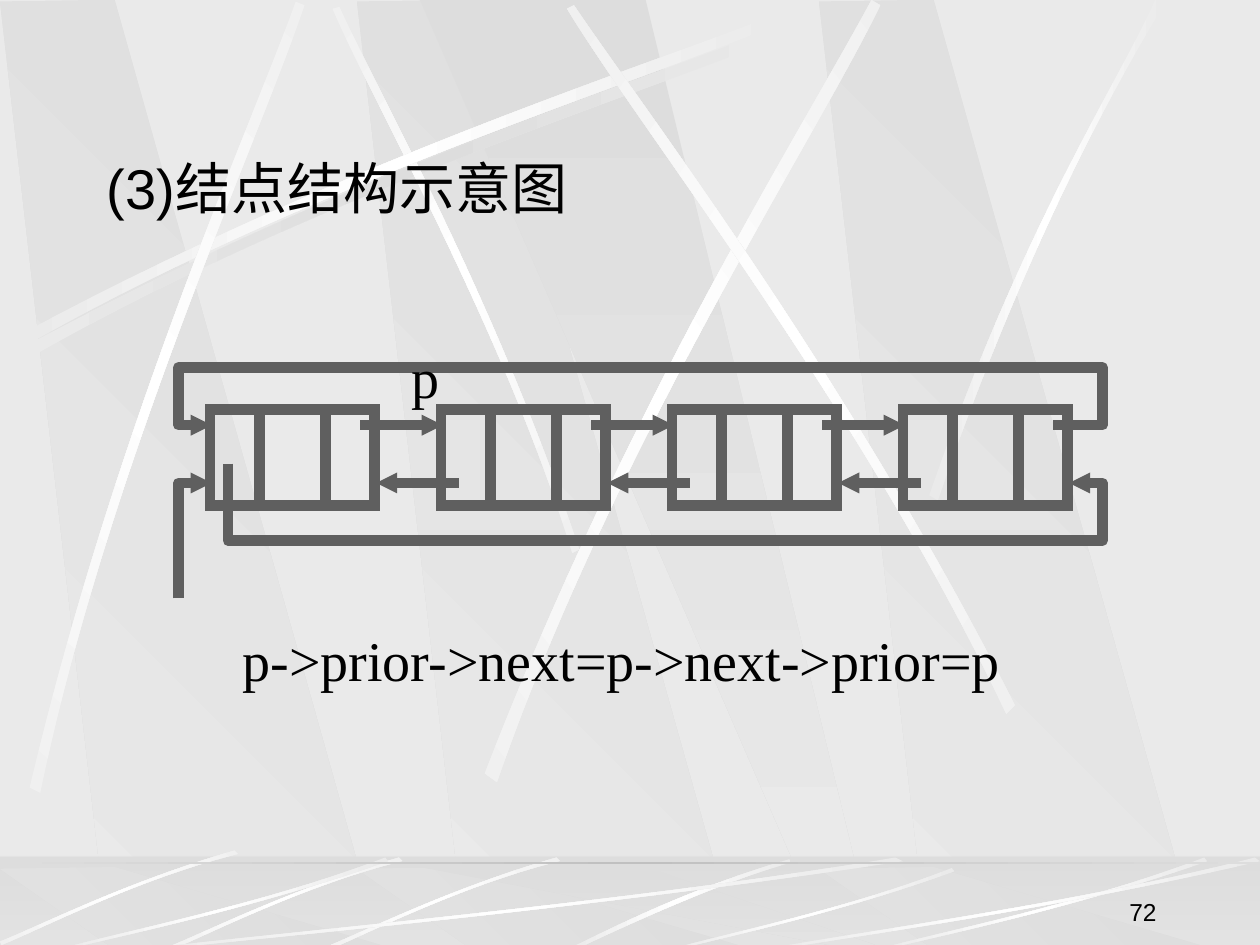
import math

import pptx
import pptx.dml.color
import pptx.enum.shapes
import pptx.enum.text
import pptx.oxml.ns
import pptx.util
from lxml import etree

Pt = pptx.util.Pt
RGBColor = pptx.dml.color.RGBColor
qn = pptx.oxml.ns.qn
RECTANGLE = pptx.enum.shapes.MSO_SHAPE.RECTANGLE
STRAIGHT = pptx.enum.shapes.MSO_CONNECTOR.STRAIGHT

PALE = RGBColor(0xEA, 0xEA, 0xEA)
SHADE = RGBColor(0xDD, 0xDD, 0xDD)
SILVER = RGBColor(0xC0, 0xC0, 0xC0)
WHITE = RGBColor(0xFF, 0xFF, 0xFF)
INK = RGBColor(0x5F, 0x5F, 0x5F)
BLACK = RGBColor(0, 0, 0)


def rotate(point, center, degrees):
    x, y = point[0] - center[0], point[1] - center[1]
    cosine, sine = math.cos(math.radians(degrees)), math.sin(math.radians(degrees))
    return center[0] + x * cosine - y * sine, center[1] + x * sine + y * cosine


class Deck:
    line_width = 6
    text_size = 32

    def __init__(self, width, height):
        self.presentation = pptx.Presentation()
        self.presentation.slide_width = Pt(width)
        self.presentation.slide_height = Pt(height)
        self.slide = self.presentation.slides.add_slide(self.presentation.slide_layouts[6])
        background = self.slide.background.fill
        background.solid()
        background.fore_color.rgb = PALE

    def outline(self, shape, join, arrow=False):
        shape.line.color.rgb = INK
        shape.line.width = Pt(self.line_width)
        line = shape.line._get_or_add_ln()
        corner = etree.SubElement(line, qn("a:" + join))
        if join == "miter":
            corner.set("lim", "800000")
        if arrow:
            etree.SubElement(line, qn("a:tailEnd"), type="triangle", w="sm", len="sm")

    def gradient(self, shape, colors, angle):
        shape.fill.gradient()
        shape.fill.gradient_angle = -angle % 360
        stops = shape._element.spPr.find(qn("a:gradFill")).find(qn("a:gsLst"))
        for stop in list(stops):
            stops.remove(stop)
        for index, color in enumerate(colors):
            position = str(100000 * index // (len(colors) - 1))
            stop = etree.SubElement(stops, qn("a:gs"), pos=position)
            etree.SubElement(stop, qn("a:srgbClr"), val=str(color))
        shape.line.fill.background()

    def rectangle(self, left, top, width, height):
        shape = self.slide.shapes.add_shape(RECTANGLE, Pt(left), Pt(top), Pt(width), Pt(height))
        shape.shadow.inherit = False
        return shape

    def freeform(self, points, close):
        points = [(Pt(x), Pt(y)) for x, y in points]
        builder = self.slide.shapes.build_freeform(*points[0], scale=1.0)
        builder.add_line_segments(points[1:], close=close)
        shape = builder.convert_to_shape()
        shape.shadow.inherit = False
        return shape

    def facet(self, points, angle):
        self.gradient(self.freeform(points, True), (SHADE, PALE), angle)

    def streak(self, controls, rotation=0, left=0, top=0, wide=1, tall=1, middle=WHITE):
        controls = [(left + x * wide, top + y * tall) for x, y in controls]
        center = tuple((min(axis) + max(axis)) / 2 for axis in zip(*controls))
        shape = self.freeform([rotate(point, center, -rotation) for point in controls], True)
        half = shape.width / 2, shape.height / 2
        middle_point = shape.left + half[0], shape.top + half[1]
        x, y = rotate(middle_point, [Pt(value) for value in center], rotation)
        shape.left, shape.top = round(x - half[0]), round(y - half[1])
        shape.rotation = rotation
        segments = list(shape._element.spPr.iter(qn("a:lnTo")))
        for group in (segments[:3], segments[4:7]):
            curve = etree.Element(qn("a:cubicBezTo"))
            group[0].addprevious(curve)
            for segment in group:
                curve.append(segment[0])
                segment.getparent().remove(segment)
        self.gradient(shape, (PALE, middle, PALE), 180)

    def band(self, top, height, colors, angle):
        self.gradient(self.rectangle(0, top, 720, height), colors, angle)

    def veil(self, top, height):
        shape = self.rectangle(0, top, 720, height)
        shape.fill.solid()
        shape.fill.fore_color.rgb = SHADE
        color = shape._element.spPr.find(qn("a:solidFill"))[0]
        etree.SubElement(color, qn("a:alpha"), val="50000")
        shape.line.fill.background()

    def panels(self, top, bottom):
        for left in (204, 0, 468):
            self.facet([(left + 62, bottom), (left + 217.5, bottom),
                        (left + 65.5, top), (left, top + 1)], 135)
        self.facet([(240, top), (474, bottom), (500, bottom), (369, top)], 90)

    def line(self, start, end, arrow=False):
        connector = self.slide.shapes.add_connector(
            STRAIGHT, Pt(start[0]), Pt(start[1]), Pt(end[0]), Pt(end[1]))
        self.outline(connector, "round", arrow)
        etree.SubElement(connector._element.spPr, qn("a:effectLst"))

    def link(self, points):
        shape = self.freeform(points, False)
        shape.fill.background()
        self.outline(shape, "round", True)

    def node(self, left, top, width, height, dividers):
        shape = self.rectangle(left, top, width, height)
        shape.fill.background()
        self.outline(shape, "miter")
        for offset in dividers:
            self.line((left + offset, top), (left + offset, top + height))

    def text(self, words, left, top, width, height, font="Times New Roman",
             size=None, wrap=False, right=False):
        box = self.slide.shapes.add_textbox(Pt(left), Pt(top), Pt(width), Pt(height))
        frame = box.text_frame
        frame.word_wrap = wrap
        if not wrap:
            frame.auto_size = pptx.enum.text.MSO_AUTO_SIZE.SHAPE_TO_FIT_TEXT
        paragraph = frame.paragraphs[0]
        paragraph.text = words
        if right:
            paragraph.alignment = pptx.enum.text.PP_ALIGN.RIGHT
            frame.vertical_anchor = pptx.enum.text.MSO_ANCHOR.BOTTOM
        paragraph.font.name = font
        paragraph.font.size = Pt(size or self.text_size)
        paragraph.font.color.rgb = BLACK


SWEEP = [(10, 192), (200, 90), (373, 37), (446, 7),
         (449, 12), (376, 44), (179, 103), (12, 199)]
FALLING = [(331, 314), (282, 168), (217, 55), (194, 4),
           (190, 5), (212, 57), (287, 186), (327, 316)]
WALL_STREAKS = [
    (311.7, [(17, 450), (67, 240), (142, 76), (169, 1),
             (174, 3), (149, 78), (62, 265), (23, 453)]),
    (321.6, [(277, 442), (359, 230), (459, 73), (498, 0),
             (503, 3), (467, 78), (350, 256), (284, 447)]),
    (34.8, [(580, 403), (482, 211), (372, 68), (328, 3),
            (324, 5), (365, 73), (493, 234), (575, 408)]),
    (0, [(531, 283), (586, 125), (639, 48), (660, 0),
         (667, 0), (602, 104), (554, 232), (536, 286)]),
]
FLOOR_CURVE = [(451, 491), (387, 510), (343, 534), (323, 543),
               (326, 544), (353, 531), (411, 504), (452, 493)]
FLOOR_ARC = [(318, 490), (256, 508), (207, 533), (184, 542),
             (185, 544), (207, 535), (263, 506), (320, 492)]
RAY = [(1, 0.04), (0.57, 0.57), (0.17, 0.85), (0.01, 1),
       (0, 0.99), (0.17, 0.81), (0.62, 0.51), (0.99, 0)]


def draw_backdrop(deck):
    deck.panels(0, 540)
    deck.streak(SWEEP, left=4, top=6, middle=SHADE)
    deck.streak(FALLING, 45)
    deck.streak(SWEEP)
    for rotation, controls in WALL_STREAKS:
        deck.streak(controls, rotation)
    deck.band(489.5, 50.5, (SHADE, PALE), 90)
    deck.panels(495.5, 540)
    deck.veil(489, 51)
    deck.streak(FLOOR_CURVE)
    for left, top in ((0, 0), (-90, 0), (-184, -4)):
        deck.streak(FLOOR_ARC, 314.9, left, top)
    for left, top, width, height in ((72, 490, 444, 54), (30, 490, 192, 54),
                                     (379.5, 496, 166, 48), (498, 490, 192, 54),
                                     (432, 490, 288, 54)):
        deck.streak(RAY, 0, left, top, width, height)
    deck.band(492.5, 1.5, (SHADE, SILVER, SHADE), 180)


def draw_list(deck):
    first, pitch, count = 120, 132, 4
    next_level, prior_level = 243, 276
    lefts = [first + pitch * index for index in range(count)]
    for left in lefts:
        deck.node(left, 234, 94, 55, (28.25, 66))
    for left in lefts[:-1]:
        deck.line((left + 86, next_level), (left + pitch + 1, next_level), True)
        deck.line((left + pitch + 10.25, prior_level), (left + 95, prior_level), True)
    deck.link([(602, next_level), (630, next_level), (630, 210),
               (102, 210), (102, next_level), (121, next_level)])
    deck.link([(130.25, 265), (130.25, 309), (630, 309),
               (630, prior_level), (611, prior_level)])
    deck.link([(102, 342), (102, prior_level), (121, prior_level)])


def main():
    deck = Deck(720, 540)
    draw_backdrop(deck)
    deck.text("(3)结点结构示意图", 54, 84, 612, 324, font="Arial", wrap=True)
    draw_list(deck)
    deck.text("p->prior->next=p->next->prior=p", 131.5, 354, 448.5, 46)
    deck.text("p", 228, 192, 30, 46)
    deck.text("72", 518, 497, 150, 36, font="Arial", size=14, wrap=True, right=True)
    deck.presentation.save("out.pptx")


if __name__ == "__main__":
    main()
